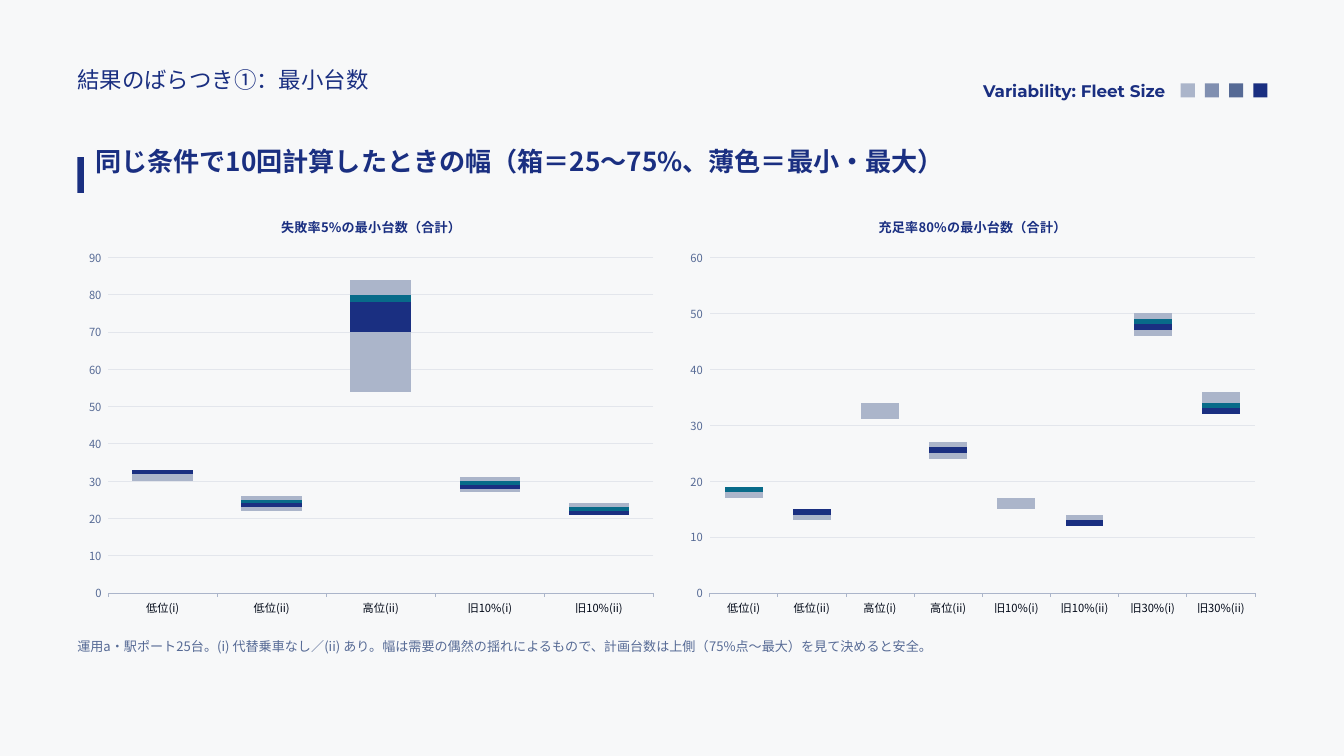
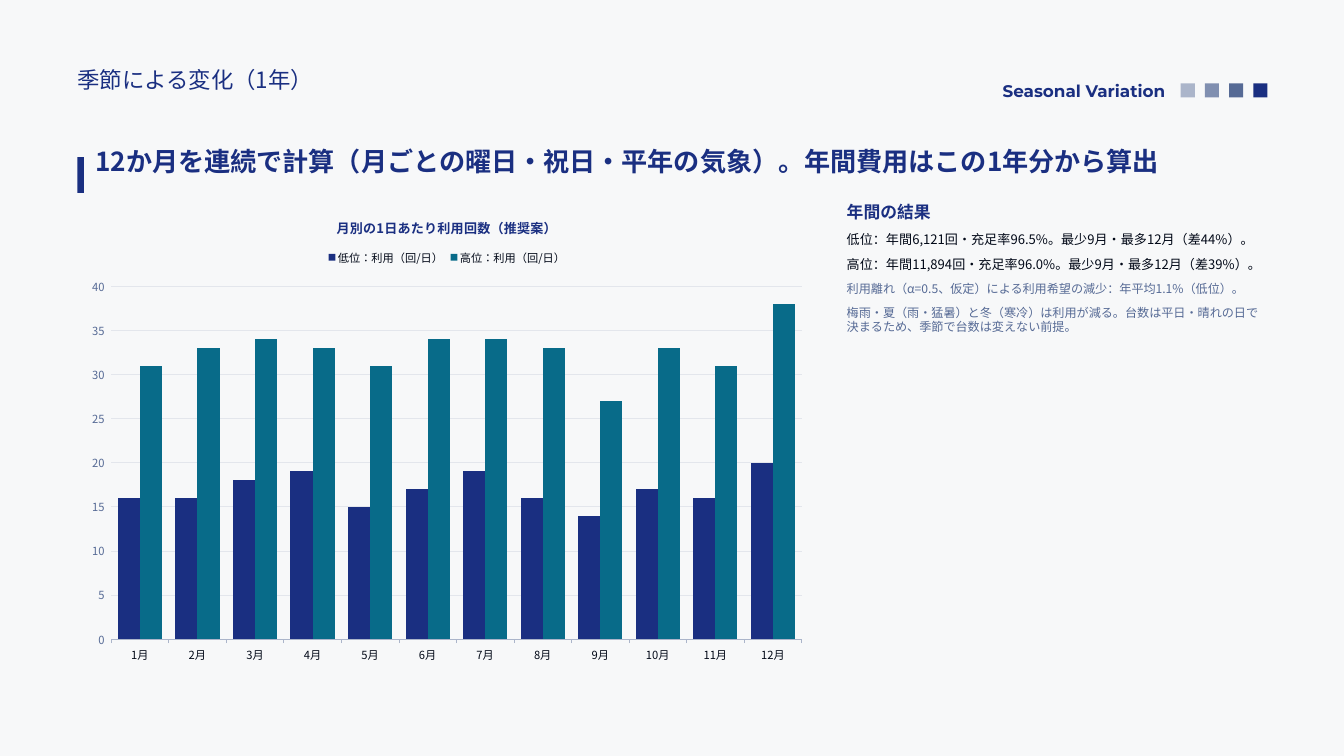
from dataclasses import dataclass, field

import pptx
import pptx.chart.data
import pptx.dml.color
import pptx.enum.chart
import pptx.enum.shapes
import pptx.enum.text
import pptx.oxml
import pptx.oxml.ns
import pptx.util
from pptx.util import Inches, Pt

HUES = {
    "back": "F7F8F9", "navy": "1A2F81", "slate": "566A95", "steel": "808FB0",
    "mist": "ABB5CA", "teal": "086B89", "ink": "010817", "grid": "E3E6EC",
}
SANS = "Noto Sans CJK JP"
KIND = pptx.enum.chart.XL_CHART_TYPE
ALIGN = pptx.enum.text.PP_ALIGN
LEFT = 1.15


@dataclass
class Box:
    left: float
    top: float
    width: float
    height: float

    def lengths(self) -> list:
        return [Inches(n) for n in (self.left, self.top, self.width, self.height)]


@dataclass
class Series:
    name: str
    hue: str | None
    vals: list[int]


@dataclass
class Plot:
    title: str
    box: Box
    cats: list[str]
    rows: list[Series]
    kind: int = KIND.COLUMN_STACKED
    gap: int = 80
    legend: bool = False
    form: str = "0"


@dataclass
class Line:
    text: str
    size: int
    hue: str
    bold: bool = False


@dataclass
class Page:
    title: str
    label: str
    head: str
    plots: list[Plot]
    box: Box
    lines: list[Line]
    after: int = field(default=6)


def color(hue: str):
    return pptx.dml.color.RGBColor.from_string(HUES[hue])


def paint(fill, hue: str | None) -> None:
    if hue is None:
        fill.background()
    else:
        fill.solid()
        fill.fore_color.rgb = color(hue)


def style(font, size: float, hue: str, bold: bool = False, face: str = SANS) -> None:
    font.size, font.bold, font.name = Pt(size), bold, face
    paint(font.fill, hue)
    # East Asian face follows the Latin one
    east = pptx.oxml.parse_xml(
        f'<a:ea {pptx.oxml.ns.nsdecls("a")} typeface="{face}"/>')
    font._rPr.find(pptx.oxml.ns.qn("a:latin")).addnext(east)


def write(frame, text: str, *, size: float, hue: str = "navy", bold: bool = False,
          face: str = SANS, align=ALIGN.LEFT, lead: float | None = None,
          after: float | None = None) -> None:
    para = frame.paragraphs[0]
    if para.runs:
        para = frame.add_paragraph()
    para.alignment = align
    if lead is not None:
        para.line_spacing = Pt(lead)
    if after is not None:
        para.space_after = Pt(after)
    run = para.add_run()
    run.text = text
    style(run.font, size, hue, bold, face)


def fit(shape, box: Box):
    shape.left, shape.top, shape.width, shape.height = box.lengths()
    frame = shape.text_frame
    frame.word_wrap = True
    frame.auto_size = pptx.enum.text.MSO_AUTO_SIZE.SHAPE_TO_FIT_TEXT
    frame.vertical_anchor = pptx.enum.text.MSO_ANCHOR.TOP
    frame.margin_left = frame.margin_right = 0
    frame.margin_top = frame.margin_bottom = 0
    return frame


def add_text(slide, box: Box):
    return fit(slide.shapes.add_textbox(*box.lengths()), box)


def add_block(slide, box: Box, hue: str) -> None:
    block = slide.shapes.add_shape(
        pptx.enum.shapes.MSO_SHAPE.RECTANGLE, *box.lengths())
    block.shadow.inherit = False
    paint(block.fill, hue)
    block.line.fill.background()


def add_plot(slide, plot: Plot) -> None:
    data = pptx.chart.data.CategoryChartData()
    data.categories = plot.cats
    for row in plot.rows:
        data.add_series(row.name, row.vals)
    chart = slide.shapes.add_chart(plot.kind, *plot.box.lengths(), data).chart
    style(chart.font, 12, "ink")

    # Title and legend
    chart.has_title = True
    write(chart.chart_title.text_frame, plot.title, size=14, bold=True,
          align=ALIGN.CENTER)
    chart.chart_title.include_in_layout = False
    chart.has_legend = plot.legend
    if plot.legend:
        chart.legend.position = pptx.enum.chart.XL_LEGEND_POSITION.TOP
        chart.legend.include_in_layout = False
        style(chart.legend.font, 12, "ink")

    # Axes
    base, scale = chart.category_axis, chart.value_axis
    style(base.tick_labels.font, 12, "ink")
    style(scale.tick_labels.font, 12, "slate")
    scale.tick_labels.number_format = plot.form
    scale.tick_labels.number_format_is_linked = False
    scale.minimum_scale = 0
    scale.format.line.fill.background()
    for line, hue in ((base.format.line, "mist"),
                      (scale.major_gridlines.format.line, "grid")):
        line.width = Pt(0.75)
        paint(line.fill, hue)

    # Columns
    body = chart.plots[0]
    body.vary_by_categories = False
    body.gap_width = plot.gap
    if plot.kind == KIND.COLUMN_STACKED:
        body.overlap = 100
    for item, row in zip(body.series, plot.rows):
        paint(item.format.fill, row.hue)


def add_page(deck, page: Page) -> None:
    slide = deck.slides.add_slide(deck.slide_layouts.get_by_name("Title Only"))
    paint(slide.background.fill, "back")

    # Header: title, label, swatches, headline with its bar
    write(fit(slide.shapes.title, Box(LEFT, 0.91, 8.85, 0.63)), page.title,
          size=24, lead=33.6)
    add_block(slide, Box(LEFT, 2.34, 0.1, 0.53), "navy")
    for i, hue in enumerate(("mist", "steel", "slate", "navy")):
        add_block(slide, Box(17.57 + 0.36 * i, 1.24, 0.21, 0.21), hue)
    write(add_text(slide, Box(1.42, 2.09, 17.4, 0.75)), page.head,
          size=28, bold=True, lead=39.2)
    write(add_text(slide, Box(10.03, 1.15, 7.31, 0.34)), page.label,
          size=18, bold=True, face="Montserrat", align=ALIGN.RIGHT, lead=25.2)

    # Body
    for plot in page.plots:
        add_plot(slide, plot)
    frame = add_text(slide, page.box)
    for line in page.lines:
        write(frame, line.text, size=line.size, hue=line.hue, bold=line.bold,
              after=page.after)


def stack(*rows: list[int]) -> list[Series]:
    """Clear base, then minimum to 25%, to median, to 75%, to maximum."""
    hues = (None, "mist", "navy", "teal", "mist")
    return [Series(f"Series {i}", hue, vals)
            for i, (hue, vals) in enumerate(zip(hues, rows), 1)]


PAGES = [
    Page(
        "結果のばらつき①：最小台数", "Variability: Fleet Size",
        "同じ条件で10回計算したときの幅（箱＝25〜75%、薄色＝最小・最大）",
        [
            Plot("失敗率5%の最小台数（合計）", Box(LEFT, 3, 8.75, 6.3),
                 ["低位(i)", "低位(ii)", "高位(ii)", "旧10%(i)", "旧10%(ii)"],
                 stack([30, 22, 54, 27, 21], [2, 1, 16, 1, 0], [1, 1, 8, 1, 1],
                       [0, 1, 2, 1, 1], [0, 1, 4, 1, 1])),
            Plot("充足率80%の最小台数（合計）", Box(10.1, 3, 8.75, 6.3),
                 ["低位(i)", "低位(ii)", "高位(i)", "高位(ii)",
                  "旧10%(i)", "旧10%(ii)", "旧30%(i)", "旧30%(ii)"],
                 stack([17, 13, 31, 24, 15, 12, 46, 32], [1, 1, 1, 1, 1, 0, 1, 0],
                       [0, 1, 0, 1, 0, 1, 1, 1], [1, 0, 0, 0, 0, 0, 1, 1],
                       [0, 0, 2, 1, 1, 1, 1, 2])),
        ],
        Box(LEFT, 9.5, 17.7, 0.9),
        [Line("運用a・駅ポート25台。(i) 代替乗車なし／(ii) あり。幅は需要の偶然の揺れによるもので、"
              "計画台数は上側（75%点〜最大）を見て決めると安全。", 14, "slate")],
    ),
    Page(
        "季節による変化（1年）", "Seasonal Variation",
        "12か月を連続で計算（月ごとの曜日・祝日・平年の気象）。年間費用はこの1年分から算出",
        [
            Plot("月別の1日あたり利用回数（推奨案）", Box(LEFT, 3, 11, 7),
                 [f"{month}月" for month in range(1, 13)],
                 [Series("低位：利用（回/日）", "navy",
                         [16, 16, 18, 19, 15, 17, 19, 16, 14, 17, 16, 20]),
                  Series("高位：利用（回/日）", "teal",
                         [31, 33, 34, 33, 31, 34, 34, 33, 27, 33, 31, 38])],
                 KIND.COLUMN_CLUSTERED, 60, True, "General"),
        ],
        Box(12.6, 3, 6.25, 7.2),
        [
            Line("年間の結果", 18, "navy", True),
            Line("低位：年間6,121回・充足率96.5%。最少9月・最多12月（差44%）。", 14, "ink"),
            Line("高位：年間11,894回・充足率96.0%。最少9月・最多12月（差39%）。", 14, "ink"),
            Line("利用離れ（α=0.5、仮定）による利用希望の減少：年平均1.1%（低位）。", 13, "slate"),
            Line("梅雨・夏（雨・猛暑）と冬（寒冷）は利用が減る。台数は平日・晴れの日で決まるため、"
                 "季節で台数は変えない前提。", 13, "slate"),
        ],
        10,
    ),
]


def main() -> None:
    deck = pptx.Presentation()
    deck.slide_width, deck.slide_height = Inches(20), Inches(11.25)
    for page in PAGES:
        add_page(deck, page)
    deck.save("out.pptx")


if __name__ == "__main__":
    main()
